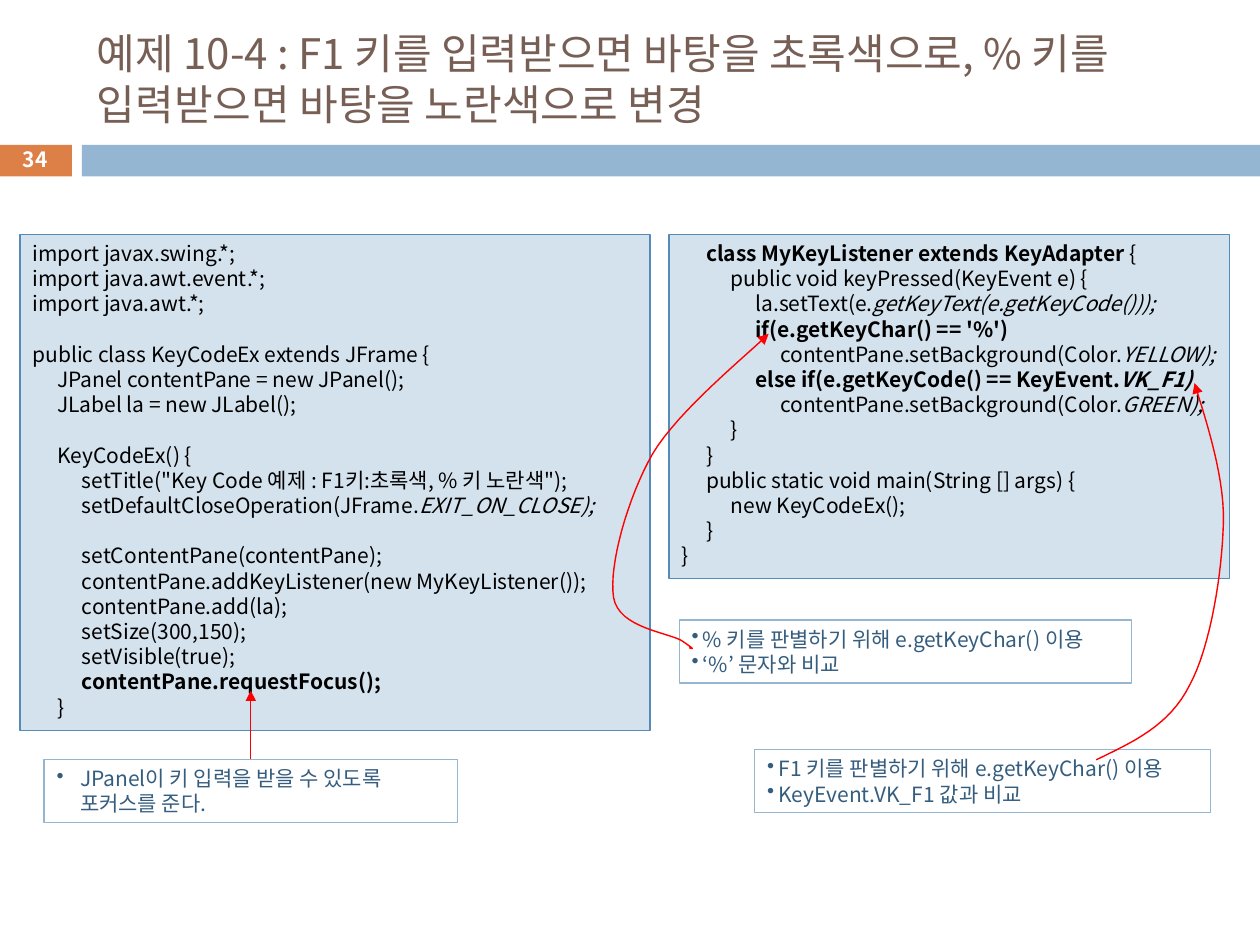
from lxml.etree import SubElement
from pptx import Presentation
from pptx.dml.color import RGBColor
from pptx.enum.shapes import MSO_CONNECTOR, MSO_SHAPE
from pptx.enum.text import MSO_ANCHOR, MSO_AUTO_SIZE, PP_ALIGN
from pptx.oxml.ns import qn
from pptx.util import Pt

FONT = "Noto Sans CJK KR"
BLACK = RGBColor(0x00, 0x00, 0x00)
WHITE = RGBColor(0xFF, 0xFF, 0xFF)
RED = RGBColor(0xFF, 0x00, 0x00)
ORANGE = RGBColor(0xDD, 0x80, 0x47)
BLUE = RGBColor(0x94, 0xB6, 0xD2)
PALE = RGBColor(0xD4, 0xE2, 0xED)
EDGE = RGBColor(0x55, 0x8B, 0xB8)
NAVY = RGBColor(0x35, 0x5D, 0x7E)
BROWN = RGBColor(0x77, 0x5F, 0x55)

TITLE = "예제 10-4 : F1 키를 입력받으면 바탕을 초록색으로, % 키를 입력받으면 바탕을 노란색으로 변경"
PAGE = "34"
FRAME_CODE = [
    "import javax.swing.*;",
    "import java.awt.event.*;",
    "import java.awt.*;",
    "",
    "public class KeyCodeEx extends JFrame {",
    "\tJPanel contentPane = new JPanel();",
    "\tJLabel la = new JLabel();",
    "",
    "\tKeyCodeEx() {",
    "\t\tsetTitle(\"Key Code 예제 : F1키:초록색, % 키 노란색\");",
    [("\t\tsetDefaultCloseOperation(JFrame.", ""), ("EXIT_ON_CLOSE);", "i")],
    "",
    "\t\tsetContentPane(contentPane);",
    "\t\tcontentPane.addKeyListener(new MyKeyListener());",
    "\t\tcontentPane.add(la);",
    "\t\tsetSize(300,150);",
    "\t\tsetVisible(true);",
    [("\t\tcontentPane.requestFocus();", "b")],
    "\t}",
]
LISTENER_CODE = [
    [("\tclass MyKeyListener extends KeyAdapter ", "b"), ("{", "")],
    "\t\tpublic void keyPressed(KeyEvent e) {",
    [("\t\t\tla.setText(e.", ""), ("getKeyText(e.getKeyCode()));", "i")],
    [("\t\t\tif(e.getKeyChar() == '%')", "b")],
    [("\t\t\t\tcontentPane.setBackground(Color.", ""), ("YELLOW);", "i")],
    [("\t\t\telse if(e.getKeyCode() == KeyEvent.", "b"), ("VK_F1)", "bi")],
    [("\t\t\t\tcontentPane.setBackground(Color.", ""), ("GREEN);", "i")],
    "\t\t}",
    "\t}",
    "\tpublic static void main(String [] args) {",
    "\t\tnew KeyCodeEx();",
    "\t}",
    "}",
]
CODE_BOXES = [
    (11.5, 360, 283.7, FRAME_CODE),
    (382.3, 320.4, 196.6, LISTENER_CODE),
]
NOTES = [
    (388.1, 354.3, 258.5, 6.5, ["% 키를 판별하기 위해 e.getKeyChar() 이용", "‘%’ 문자와 비교"]),
    (431.3, 428.4, 260.6, 6.5, ["F1 키를 판별하기 위해 e.getKeyChar() 이용", "KeyEvent.VK_F1 값과 비교"]),
    (25.2, 434, 236.2, 13.5, ["JPanel이 키 입력을 받을 수 있도록 포커스를 준다."]),
]
CURVES = [
    [(393.8, 370.1), (396, 370.8), (397.4, 371.5), (390.2, 366.5),
     (383, 361.4), (353.5, 359.3), (350.6, 341.3),
     (347.8, 323.3), (358.6, 284.4), (373, 259.2),
     (388.1, 234), (428.4, 201.6), (439.2, 190.8)],
    [(626.4, 434.2), (647.3, 424.1), (668.2, 414.7), (679.7, 391.7),
     (691.9, 369.4), (698.4, 326.9), (699.1, 298.1),
     (699.8, 269.3), (686.2, 231.8), (682.6, 218.9)],
]
CODE_TOP, NOTE_HEIGHT, TAB = 133.9, 36, 14.1
CURVE_STEPS, CURVE_SCALE = 16, 100


def write(tf, lines, size=12, color=BLACK, style="", align=PP_ALIGN.LEFT,
          anchor=MSO_ANCHOR.TOP, hang=0, tabs=0, pitch=14.4):
    tf.word_wrap = True
    tf.auto_size = MSO_AUTO_SIZE.NONE
    tf.vertical_anchor = anchor
    for n, line in enumerate(lines):
        p = tf.add_paragraph() if n else tf.paragraphs[0]
        p.alignment = align
        p.line_spacing = Pt(pitch)
        pPr = p._p.get_or_add_pPr()
        if hang:
            pPr.set("marL", str(Pt(hang)))
            pPr.set("indent", str(-Pt(hang)))
            SubElement(pPr, qn("a:buChar"), char="•")
        if tabs:
            stops = SubElement(pPr, qn("a:tabLst"))
            for k in range(1, 5):
                SubElement(stops, qn("a:tab"), pos=str(Pt(tabs * k)), algn="l")
        for text, look in [(line, style)] if isinstance(line, str) else line:
            if not text:
                continue
            r = p.add_run()
            r.text = text
            r.font.name, r.font.size = FONT, Pt(size)
            r.font.bold, r.font.italic = "b" in look, "i" in look
            r.font.color.rgb = color
            SubElement(r._r.get_or_add_rPr(), qn("a:ea"), typeface=FONT)


def add_box(s, left, top, width, height, fill=None, line=None):
    sp = s.shapes.add_shape(MSO_SHAPE.RECTANGLE, Pt(left), Pt(top), Pt(width), Pt(height))
    sp.shadow.inherit = False
    if fill is None:
        sp.fill.background()
    else:
        sp.fill.solid()
        sp.fill.fore_color.rgb = fill
    if line is None:
        sp.line.fill.background()
    else:
        sp.line.color.rgb = line
        sp.line.width = Pt(0.75)
    return sp


def make_arrow(sp):
    sp.line.color.rgb = RED
    sp.line.width = Pt(0.8)
    SubElement(sp.line._get_or_add_ln(), qn("a:tailEnd"), type="triangle")


def bezier(knots):
    for k in range(0, len(knots) - 1, 3):
        for step in range(1, CURVE_STEPS + 1):
            t = step / CURVE_STEPS
            weights = ((1 - t) ** 3, 3 * t * (1 - t) ** 2, 3 * t * t * (1 - t), t ** 3)
            yield tuple(CURVE_SCALE * sum(w * pt[axis] for w, pt in zip(weights, knots[k:k + 4]))
                        for axis in (0, 1))


def main():
    prs = Presentation()
    prs.slide_width, prs.slide_height = Pt(720), Pt(540)
    s = prs.slides.add_slide(prs.slide_layouts[5])

    title = s.shapes.title
    title.left, title.top, title.width, title.height = Pt(48.2), Pt(18), Pt(642.2), Pt(53.3)
    write(title.text_frame, [TITLE], size=24, color=BROWN, anchor=MSO_ANCHOR.MIDDLE, pitch=29.1)

    add_box(s, -0.7, 82.8, 41.8, 18, fill=ORANGE)
    add_box(s, 46.8, 82.8, 673.2, 18, fill=BLUE)
    number = s.shapes.add_textbox(Pt(-0.7), Pt(81.4), Pt(41.8), Pt(19.4))
    write(number.text_frame, [PAGE], color=WHITE, style="b",
          align=PP_ALIGN.CENTER, anchor=MSO_ANCHOR.MIDDLE)

    for left, width, height, code in CODE_BOXES:
        sp = add_box(s, left, CODE_TOP, width, height, fill=PALE, line=EDGE)
        sp.text_frame.margin_right = 0
        write(sp.text_frame, code, tabs=TAB)

    for left, top, width, hang, lines in NOTES:
        note = add_box(s, left, top, width, NOTE_HEIGHT, line=BLUE)
        write(note.text_frame, lines, color=NAVY, hang=hang)

    x = note.left + note.width // 2
    focus = s.shapes.add_connector(MSO_CONNECTOR.STRAIGHT, x, note.top, x, Pt(394.6))
    focus.begin_connect(note, 0)
    SubElement(focus._element.spPr, qn("a:effectLst"))
    make_arrow(focus)

    for knots in CURVES:
        x, y = knots[0]
        fb = s.shapes.build_freeform(x * CURVE_SCALE, y * CURVE_SCALE, scale=Pt(1) / CURVE_SCALE)
        fb.add_line_segments(list(bezier(knots)), close=False)
        sp = fb.convert_to_shape()
        sp.shadow.inherit = False
        sp.fill.background()
        make_arrow(sp)

    prs.save("out.pptx")


if __name__ == "__main__":
    main()
